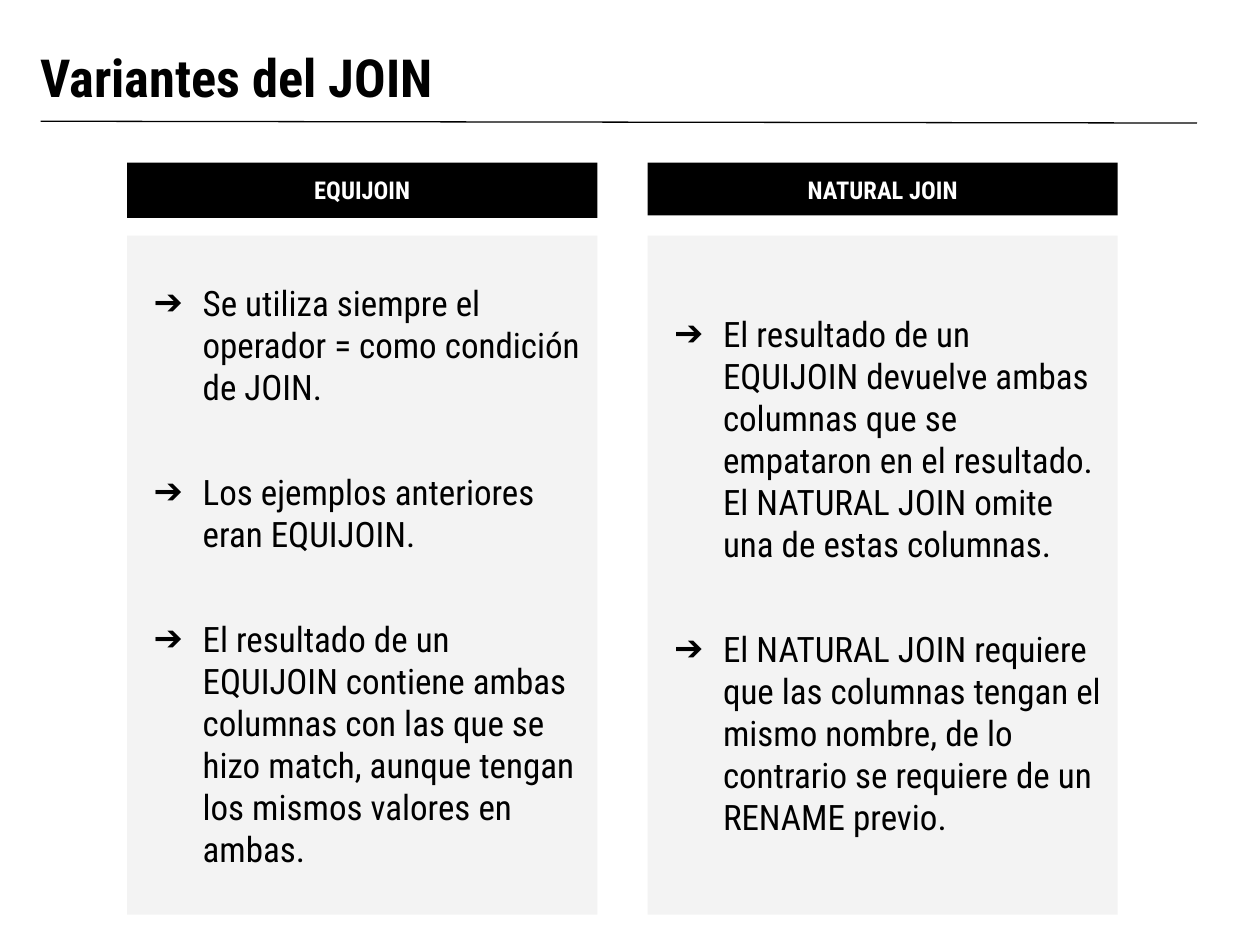
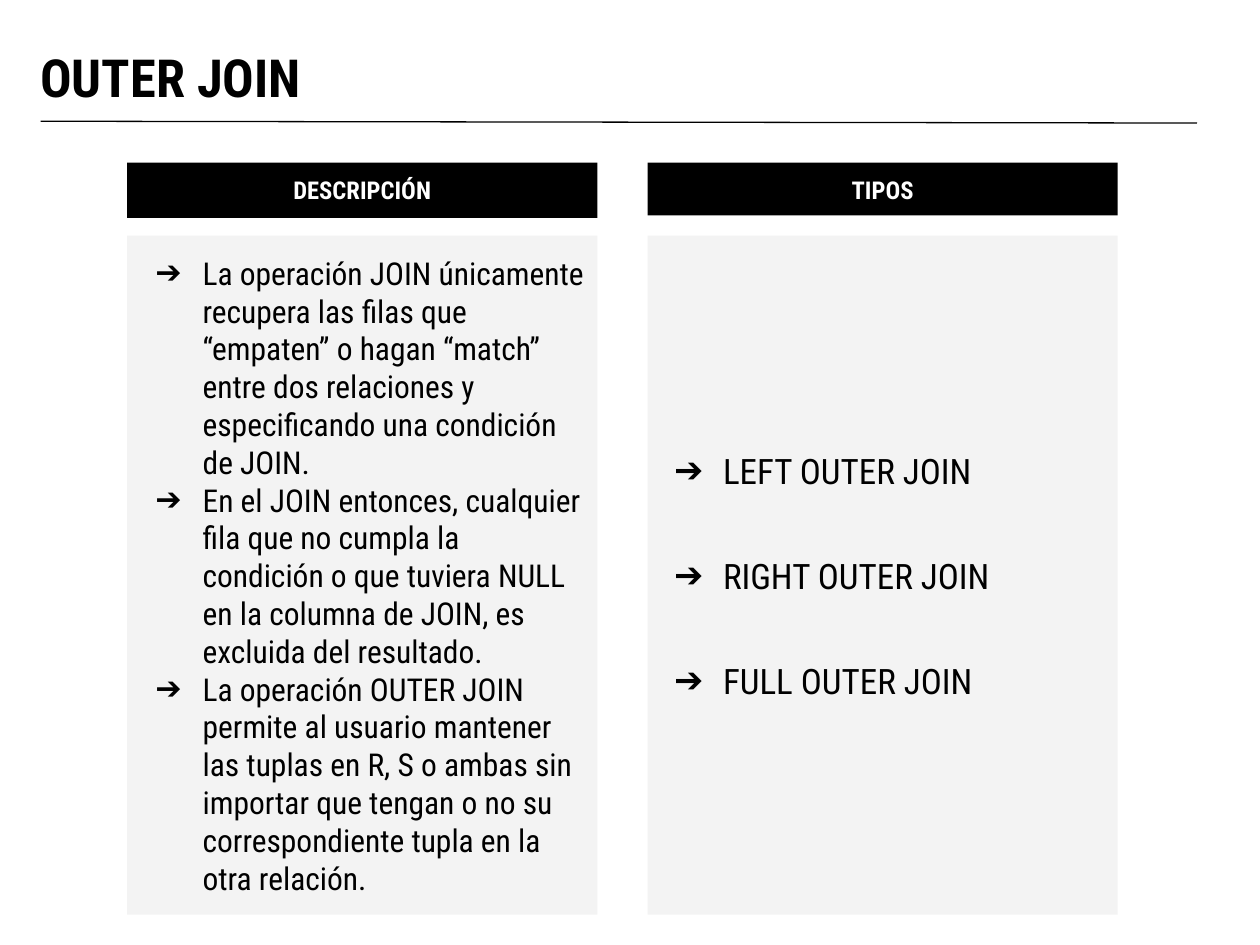
from lxml.etree import SubElement
from pptx import Presentation
from pptx.dml.color import RGBColor
from pptx.enum.shapes import MSO_CONNECTOR, MSO_SHAPE
from pptx.enum.text import MSO_ANCHOR, PP_ALIGN
from pptx.oxml.ns import qn
from pptx.util import Pt

FONT = "Roboto Condensed"
BLACK, WHITE, PANEL_GREY = "000000", "FFFFFF", "F3F3F3"

COLUMN_LEFTS = (72.75, 370.1)
COLUMN_WIDTH = 268.6
HEADER_TOP = 92.9
HEADER_HEIGHTS = (31.7, 30.2)
PANEL_TOP, PANEL_HEIGHT = 134.6, 388.1
TEXT_INDENT = 36

TITLE_FORMAT = {"name": FONT, "size": Pt(30), "bold": True}
HEADER_FORMAT = {"name": FONT, "size": Pt(14), "bold": True}

# Each column: heading, text size, space between bullets, bullets
SLIDES = [
    ("Variantes del JOIN", [
        ("EQUIJOIN", 20, 36, [
            "Se utiliza siempre el operador = como condición de JOIN.",
            "Los ejemplos anteriores eran EQUIJOIN.",
            "El resultado de un EQUIJOIN contiene ambas columnas con las que se "
            "hizo match, aunque tengan los mismos valores en ambas.",
        ]),
        ("NATURAL JOIN", 20, 36, [
            "El resultado de un EQUIJOIN devuelve ambas columnas que se empataron "
            "en el resultado. El NATURAL JOIN omite una de estas columnas.",
            "El NATURAL JOIN requiere que las columnas tengan el mismo nombre, "
            "de lo contrario se requiere de un RENAME previo.",
        ]),
    ]),
    ("OUTER JOIN", [
        ("DESCRIPCIÓN", 18, 0, [
            "La operación JOIN únicamente recupera las filas que “empaten” o hagan "
            "“match” entre dos relaciones y especificando una condición de JOIN.",
            "En el JOIN entonces, cualquier fila que no cumpla la condición o que "
            "tuviera NULL en la columna de JOIN, es excluida del resultado.",
            "La operación OUTER JOIN permite al usuario mantener las tuplas en R, S "
            "o ambas sin importar que tengan o no su correspondiente tupla en la "
            "otra relación.",
        ]),
        ("TIPOS", 20, 36, [
            "LEFT OUTER JOIN",
            "RIGHT OUTER JOIN",
            "FULL OUTER JOIN",
        ]),
    ]),
]


def color(hex_string):
    return RGBColor.from_string(hex_string)


def format_text(paragraph, values, text_color):
    for name, value in values.items():
        setattr(paragraph.font, name, value)
    paragraph.font.color.rgb = color(text_color)


def prepare_frame(shape, anchor):
    """Set wrapping, equal insets and the vertical anchor of a shape's text."""
    frame = shape.text_frame
    settings = {"word_wrap": True, "vertical_anchor": anchor}
    for side in ("left", "top", "right", "bottom"):
        settings[f"margin_{side}"] = Pt(7.2)
    for name, value in settings.items():
        setattr(frame, name, value)
    return frame


def add_title(slide, text):
    """Add the slide title and the rule beneath it."""
    rule = slide.shapes.add_connector(
        MSO_CONNECTOR.STRAIGHT, Pt(23.3), Pt(69.3), Pt(684), Pt(70.3))
    rule.line.color.rgb = color(BLACK)
    rule.line.width = Pt(0.75)
    SubElement(rule.element.spPr, qn("a:effectLst"))

    title = slide.shapes.add_textbox(Pt(16), Pt(16), Pt(648), Pt(53))
    paragraph = prepare_frame(title, MSO_ANCHOR.BOTTOM).paragraphs[0]
    paragraph.text = text
    format_text(paragraph, TITLE_FORMAT, BLACK)


def add_rectangle(slide, left, top, height, fill):
    rectangle = slide.shapes.add_shape(
        MSO_SHAPE.RECTANGLE, Pt(left), Pt(top), Pt(COLUMN_WIDTH), Pt(height))
    rectangle.shadow.inherit = False
    rectangle.fill.solid()
    rectangle.fill.fore_color.rgb = color(fill)
    rectangle.line.fill.background()
    return rectangle


def add_arrow_bullet(paragraph, hanging):
    properties = paragraph._p.get_or_add_pPr()
    properties.set("marL", str(Pt(TEXT_INDENT)))
    properties.set("indent", str(-Pt(hanging)))
    bullet_color = SubElement(properties, qn("a:buClr"))
    SubElement(bullet_color, qn("a:srgbClr"), val=BLACK)
    SubElement(properties, qn("a:buFont"), typeface=FONT)
    SubElement(properties, qn("a:buChar"), char="➔")


def add_bullet_panel(slide, left, size, gap, bullets):
    panel = add_rectangle(slide, left, PANEL_TOP, PANEL_HEIGHT, PANEL_GREY)
    frame = prepare_frame(panel, MSO_ANCHOR.MIDDLE)
    for index, text in enumerate(bullets):
        paragraph = frame.add_paragraph() if index else frame.paragraphs[0]
        paragraph.text = text
        paragraph.alignment = PP_ALIGN.LEFT
        paragraph.space_before = Pt(gap if index else 0)
        add_arrow_bullet(paragraph, hanging=18 + size / 2)
        format_text(paragraph, {"name": FONT, "size": Pt(size)}, BLACK)


def add_header(slide, left, height, text):
    header = add_rectangle(slide, left, HEADER_TOP, height, BLACK)
    paragraph = prepare_frame(header, MSO_ANCHOR.TOP).paragraphs[0]
    paragraph.text = text
    paragraph.alignment = PP_ALIGN.CENTER
    format_text(paragraph, HEADER_FORMAT, WHITE)


def main():
    presentation = Presentation()
    presentation.slide_width, presentation.slide_height = Pt(720), Pt(540)
    blank_layout = presentation.slide_layouts[6]
    for title, columns in SLIDES:
        slide = presentation.slides.add_slide(blank_layout)
        add_title(slide, title)
        for left, header_height, column in zip(COLUMN_LEFTS, HEADER_HEIGHTS, columns):
            heading, size, gap, bullets = column
            add_bullet_panel(slide, left, size, gap, bullets)
            add_header(slide, left, header_height, heading)
    presentation.save("out.pptx")


if __name__ == "__main__":
    main()
